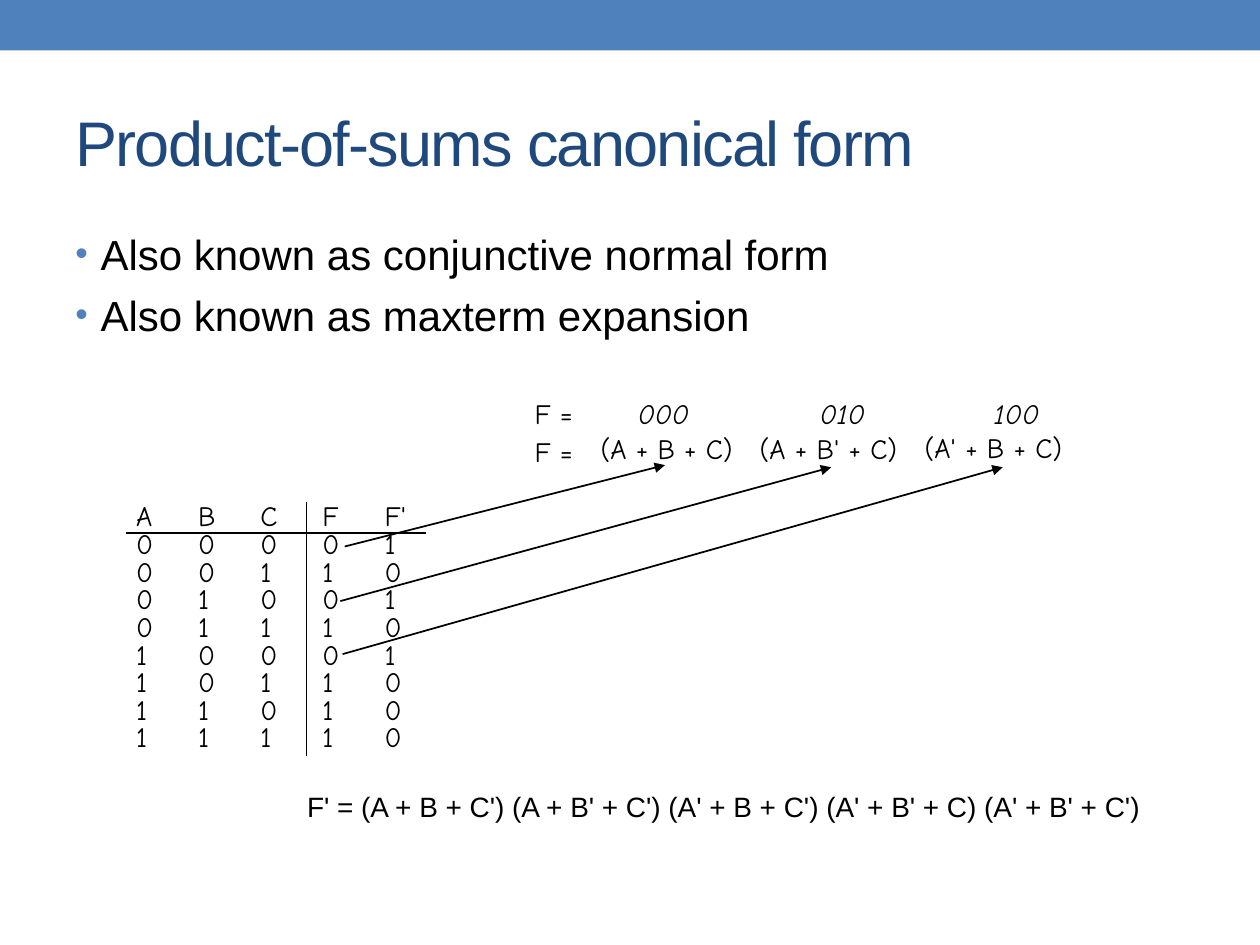
"""Build the slide on the product-of-sums canonical form."""
import itertools

import lxml.etree
import pptx
import pptx.dml.color
import pptx.enum.shapes
import pptx.enum.text
import pptx.oxml.ns
import pptx.util

Pt = pptx.util.Pt
qn = pptx.oxml.ns.qn
sub = lxml.etree.SubElement
BLACK, BLUE, NAVY = "000000", "4F81BD", "1F497D"
SANS, HAND = "Arial", "Comic Neue"


def hue(code):
    return pptx.dml.color.RGBColor.from_string(code)


def write(area, rows, face=HAND, size=16, tint=BLACK, pitch=None, stops=(), pad=(1.5, 2), wrap=True):
    frame = slide.shapes.add_textbox(*map(Pt, area)).text_frame
    frame.word_wrap = wrap
    frame.margin_left = frame.margin_right = Pt(pad[0])
    frame.margin_top = frame.margin_bottom = Pt(pad[1])
    for i, row in enumerate(rows):
        para = frame.add_paragraph() if i else frame.paragraphs[0]
        if stops:
            tabs = sub(para._p.get_or_add_pPr(), qn("a:tabLst"))
            for stop in stops:
                sub(tabs, qn("a:tab"), pos=str(Pt(stop)), algn="l")
        if pitch:
            para.line_spacing = Pt(pitch)
        for text, slant in row:
            run = para.add_run()
            run.text = text
            run.font.name = face
            run.font.size = Pt(size)
            run.font.italic = slant
            run.font.color.rgb = hue(tint)
    return frame


deck = pptx.Presentation()
deck.slide_width, deck.slide_height = Pt(720), Pt(540)
slide = deck.slides.add_slide(deck.slide_layouts[6])

band = slide.shapes.add_shape(pptx.enum.shapes.MSO_SHAPE.RECTANGLE, 0, 0, Pt(720), Pt(28.8))
band.shadow.inherit = False
band.fill.solid()
band.fill.fore_color.rgb = hue(BLUE)
band.line.fill.background()

title = write((36, 42, 648, 78), [[("Product-of-sums canonical form", False)]],
              SANS, 36, NAVY, pad=(7.2, 3.6))
title.vertical_anchor = pptx.enum.text.MSO_ANCHOR.MIDDLE
title.paragraphs[0].runs[0]._r.get_or_add_rPr().set("spc", "-100")

names = ["conjunctive normal form", "maxterm expansion"]
body = write((36, 127, 648, 382), [[("Also known as " + name, False)] for name in names],
             SANS, 24, pad=(7.2, 3.6))
for i, para in enumerate(body.paragraphs):
    props = para._p.get_or_add_pPr()
    props.set("marL", str(Pt(14.4)))
    props.set("indent", str(Pt(-14.4)))
    sub(sub(props, qn("a:buClr")), qn("a:srgbClr"), val=BLUE)
    sub(props, qn("a:buSzPct"), val="85000")
    sub(props, qn("a:buFont"), typeface=SANS)
    sub(props, qn("a:buChar"), char="•")
    if i:
        para.space_before = Pt(6)

write((304, 222, 416, 46), [[("F =", False), ("\t000\t010\t100", True)], [("F =", False)]],
      pitch=21.8, stops=(59, 163, 262.5))
write((174, 446.5, 521, 51),
      [[("F' = (A + B + C') (A + B' + C') (A' + B + C') (A' + B' + C) (A' + B' + C')", False)]],
      SANS, pitch=21.8)

zeros = [(0, 0, 0), (0, 1, 0), (1, 0, 0)]
table = [("A", "B", "C", "F", "F'")]
for bits in itertools.product((0, 1), repeat=3):
    low = bits in zeros
    table.append((*bits, int(not low), int(low)))
write((76.3, 286.5, 197, 152), [[("\t".join(map(str, row)), False)] for row in table],
      pitch=15.8, stops=[35.5 * n for n in range(1, 5)])

terms = [("(A + B + C)", 336.2, 240.5, 92), ("(A + B' + C)", 427, 240.5, 98),
         ("(A' + B + C)", 521.3, 239.8, 98)]
for term, left, top, width in terms:
    write((left, top, width, 29), [[(term, False)]], pitch=21.8, pad=(7.2, 3.6), wrap=False)

rules = [(72, 304.4, 243.5, 304.4, False), (175.2, 287, 175.2, 432, False),
         (197, 312.3, 380, 265.8, True), (194.5, 343.5, 475, 267, True),
         (195.8, 373.8, 573, 267, True)]
for *ends, arrow in rules:
    line = slide.shapes.add_connector(pptx.enum.shapes.MSO_CONNECTOR.STRAIGHT, *map(Pt, ends))
    line.line.color.rgb = hue(BLACK)
    line.line.width = Pt(1)
    if arrow:
        sub(line.line._get_or_add_ln(), qn("a:tailEnd"), type="triangle")
    sub(line._element.spPr, qn("a:effectLst"))

deck.save("out.pptx")
